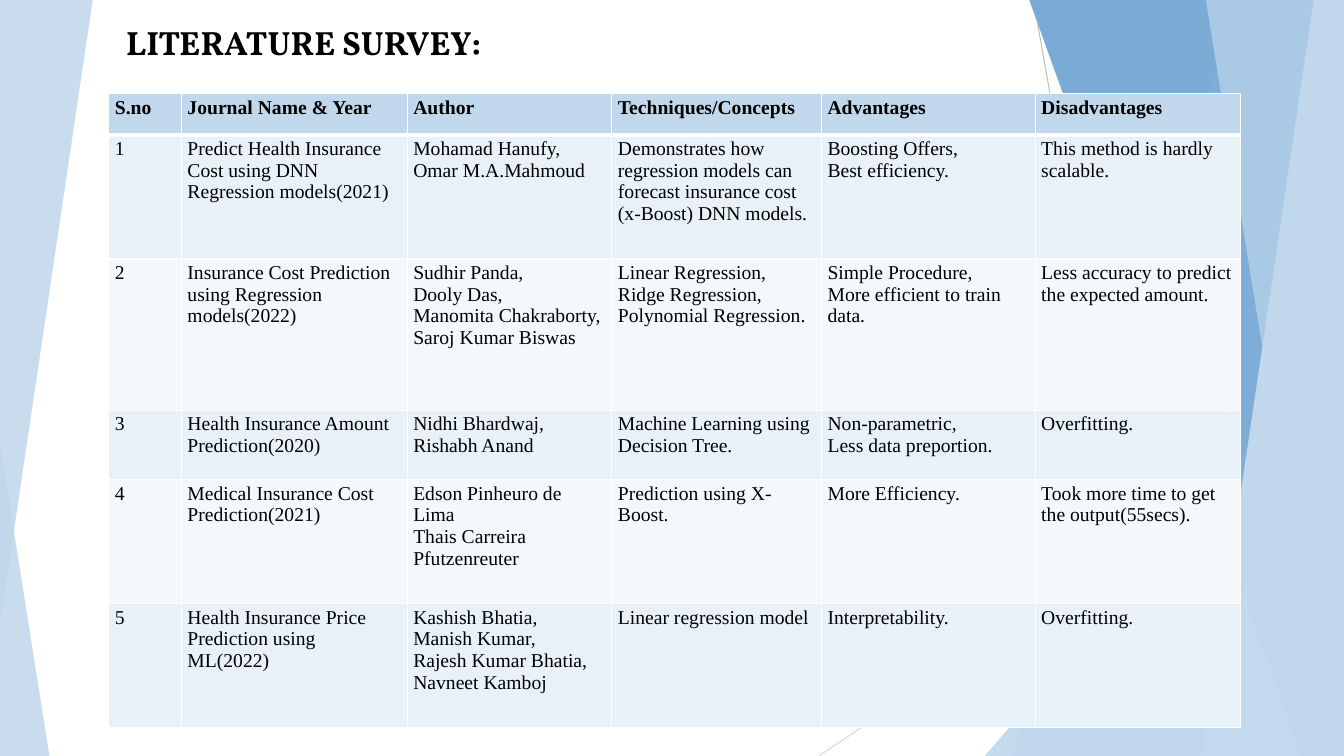
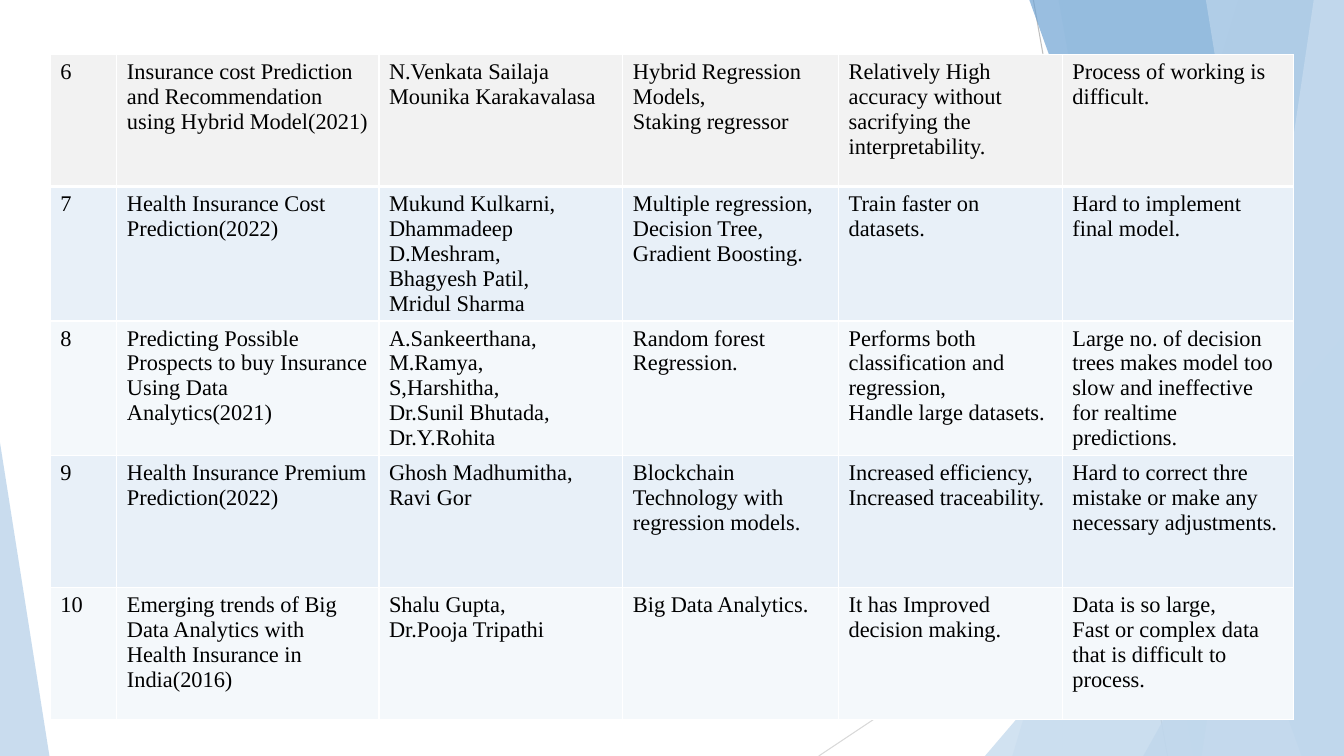
import lxml.etree
import pptx
import pptx.dml.color
import pptx.enum.shapes
import pptx.enum.text
import pptx.oxml.ns
import pptx.util

WIDTH = pptx.util.Inches(13.33)
HEIGHT = pptx.util.Inches(7.5)
BLACK, WHITE, GREY = "000000", "FFFFFF", "F2F2F2"
PALE, MID, FAINT = "C0D7EC", "6EA3D3", "D9E7F4"
BANDS = ("E8F0F8", "F4F8FB")
TITLE_FONT, TABLE_FONT = "Vollkorn", "Times New Roman"

SURVEY_COLUMNS = (5.4, 16.8, 15.23, 15.6, 15.9, 15.3)
SURVEY_ROWS = (5.47, 16.4, 20, 9.2, 16.4, 16.4)
SURVEY = (
    ("S.no", "Journal Name & Year", "Author", "Techniques/Concepts", "Advantages", "Disadvantages"),
    ("1", "Predict Health Insurance Cost using DNN Regression models(2021)",
     "Mohamad Hanufy,\nOmar M.A.Mahmoud",
     "Demonstrates how regression models can forecast insurance cost (x-Boost) DNN models.",
     "Boosting Offers,\nBest efficiency.", "This method is hardly scalable."),
    ("2", "Insurance Cost Prediction using Regression models(2022)",
     "Sudhir Panda,\nDooly Das,\nManomita Chakraborty,\nSaroj Kumar Biswas",
     "Linear Regression,\nRidge Regression,\nPolynomial Regression.",
     "Simple Procedure,\nMore efficient to train data.",
     "Less accuracy to predict the expected amount."),
    ("3", "Health Insurance Amount Prediction(2020)", "Nidhi Bhardwaj,\nRishabh Anand",
     "Machine Learning using Decision Tree.", "Non-parametric,\nLess data preportion.",
     "Overfitting."),
    ("4", "Medical Insurance Cost\nPrediction(2021)",
     "Edson Pinheuro de Lima\nThais Carreira Pfutzenreuter", "Prediction using X-Boost.",
     "More Efficiency.", "Took more time to get the output(55secs)."),
    ("5", "Health Insurance Price Prediction using ML(2022)",
     "Kashish Bhatia,\nManish Kumar,\nRajesh Kumar Bhatia,\nNavneet Kamboj",
     "Linear regression model", "Interpretability.", "Overfitting."),
)

MORE_COLUMNS = (4.95, 19.5, 18.15, 16.05, 16.65, 17.18)
MORE_ROWS = (17.47,) * 5
MORE = (
    ("6", "Insurance cost Prediction and Recommendation using Hybrid Model(2021)",
     "N.Venkata Sailaja\nMounika Karakavalasa", "Hybrid Regression Models,\nStaking regressor",
     "Relatively High accuracy without sacrifying the interpretability.",
     "Process of working is difficult."),
    ("7", "Health Insurance Cost Prediction(2022)",
     "Mukund Kulkarni,\nDhammadeep D.Meshram,\nBhagyesh Patil,\nMridul Sharma",
     "Multiple regression,\nDecision Tree,\nGradient Boosting.",
     "Train faster on datasets.", "Hard to implement final model."),
    ("8", "Predicting Possible Prospects to buy Insurance\nUsing Data Analytics(2021)",
     "A.Sankeerthana,\nM.Ramya,\nS,Harshitha,\nDr.Sunil Bhutada,\nDr.Y.Rohita",
     "Random forest Regression.",
     "Performs both classification and regression,\nHandle large datasets.",
     "Large no. of decision trees makes model too slow and ineffective for realtime predictions."),
    ("9", "Health Insurance Premium Prediction(2022)", "Ghosh Madhumitha,\nRavi Gor",
     "Blockchain Technology with regression models.",
     "Increased efficiency,\nIncreased traceability.",
     "Hard to correct thre mistake or make any necessary adjustments."),
    ("10", "Emerging trends of Big Data Analytics with Health Insurance in India(2016)",
     "Shalu Gupta,\nDr.Pooja Tripathi", "Big Data Analytics.",
     "It has Improved decision making.",
     "Data is so large,\nFast or complex data that is difficult to process."),
)


def across(percent):
    """Return a percentage of the slide width."""
    return pptx.util.Emu(round(WIDTH * percent / 100))


def down(percent):
    """Return a percentage of the slide height."""
    return pptx.util.Emu(round(HEIGHT * percent / 100))


def colour(code):
    """Turn a hex string into a colour."""
    return pptx.dml.color.RGBColor.from_string(code)


def add_node(parent, tag, **attributes):
    """Append a DrawingML element to a parent."""
    return lxml.etree.SubElement(parent, pptx.oxml.ns.qn(tag), attributes)


def style_paragraph(para, font, size, bold):
    """Set the font of a whole paragraph in black."""
    para.font.name = font
    para.font.size = pptx.util.Pt(size)
    para.font.bold = bold
    para.font.color.rgb = colour(BLACK)


def tint(shape, code, opacity):
    """Give a shape a translucent fill without outline or shadow."""
    shape.shadow.inherit = False
    shape.line.fill.background()
    shape.fill.solid()
    shape.fill.fore_color.rgb = colour(code)
    solid = shape._element.spPr.find(pptx.oxml.ns.qn("a:solidFill"))
    add_node(solid[0], "a:alpha", val=str(opacity * 1000))


def add_strip(page, top, bottom, code, opacity):
    """Add a full-height strip from a slanted edge to the right side."""
    builder = page.shapes.build_freeform(across(top), 0, scale=1.0)
    builder.add_line_segments([(WIDTH, 0), (WIDTH, HEIGHT), (across(bottom), HEIGHT)])
    tint(builder.convert_to_shape(), code, opacity)


def add_wedge(page, left, top, width, height, lean, opacity, turn=0):
    """Add a pale triangle whose apex leans to one side."""
    wedge = page.shapes.add_shape(
        pptx.enum.shapes.MSO_SHAPE.ISOSCELES_TRIANGLE,
        across(left), down(top), across(width), down(height))
    wedge.adjustments[0] = lean
    wedge.rotation = turn
    tint(wedge, PALE, opacity)


def add_hairline(page, start, end, code):
    """Add a thin line between two points."""
    line = page.shapes.add_connector(
        pptx.enum.shapes.MSO_CONNECTOR.STRAIGHT,
        across(start[0]), down(start[1]), across(end[0]), down(end[1]))
    line.line.color.rgb = colour(code)
    line.line.width = pptx.util.Pt(0.75)
    add_node(line._element.spPr, "a:effectLst")


def add_hairlines(page):
    """Add the two crossing lines on the right."""
    add_hairline(page, (76.89, 0), (86.87, 100), "BFBFBF")
    add_hairline(page, (100, 53.73), (60.92, 100), "D9D9D9")


def add_facets(page):
    """Add the layered blue facets on the right."""
    add_strip(page, 92.12, 75.32, PALE, 30)
    add_strip(page, 78.77, 88.75, PALE, 20)
    add_wedge(page, 73.29, 44.4, 26.71, 55.6, 1, 72)
    add_strip(page, 76.59, 96.85, MID, 70)
    add_strip(page, 97.75, 89.42, FAINT, 70)
    add_strip(page, 89.72, 98.87, PALE, 65)
    add_wedge(page, 85.07, 52.4, 14.93, 47.6, 1, 80)


def add_corner(page):
    """Add the triangle in the lower left corner."""
    add_wedge(page, 0, 58.53, 3.68, 41.47, 0, 85)


def set_title(page, text):
    """Place and format the slide title."""
    title = page.shapes.title
    title.left, title.top = across(8.63), down(-6.93)
    title.width, title.height = across(62.94), down(15.87)
    frame = title.text_frame
    frame.text = text
    frame.word_wrap = True
    frame.vertical_anchor = pptx.enum.text.MSO_ANCHOR.BOTTOM
    para = frame.paragraphs[0]
    para.alignment = pptx.enum.text.PP_ALIGN.LEFT
    para.space_after = pptx.util.Pt(6)
    style_paragraph(para, TITLE_FONT, 24, True)


def set_borders(cell, top, bottom):
    """Draw white cell borders, with weights for top and bottom."""
    properties = cell._tc.get_or_add_tcPr()
    weights = {"a:lnL": 1, "a:lnR": 1, "a:lnT": top, "a:lnB": bottom}
    for place, (tag, weight) in enumerate(weights.items()):
        border = add_node(properties, tag, w=str(pptx.util.Pt(weight)))
        add_node(add_node(border, "a:solidFill"), "a:srgbClr", val=WHITE)
        properties.insert(place, border)


def fill_cell(cell, text, size, bold, code, insets):
    """Write one cell with its fill and margins."""
    cell.text = text
    cell.margin_left = cell.margin_right = pptx.util.Inches(insets[0])
    cell.margin_top = cell.margin_bottom = pptx.util.Inches(insets[1])
    cell.fill.solid()
    cell.fill.fore_color.rgb = colour(code)
    for para in cell.text_frame.paragraphs:
        style_paragraph(para, TABLE_FONT, size, bold)


def add_grid(page, corner, columns, rows, content, size, first_fill, first_bold, insets):
    """Add a banded table with a heavier line below its first row."""
    grid = page.shapes.add_table(
        len(rows), len(columns), across(corner[0]), down(corner[1]),
        across(sum(columns)), down(sum(rows))).table
    for column, share in zip(grid.columns, columns):
        column.width = across(share)
    for index, (row, share, texts) in enumerate(zip(grid.rows, rows, content)):
        row.height = down(share)
        first = index == 0
        code = first_fill if first else BANDS[(index - 1) % 2]
        for cell, text in zip(row.cells, texts):
            fill_cell(cell, text, size, first and first_bold, code, insets)
            set_borders(cell, 3 if index == 1 else 1, 3 if first else 1)


def build_survey(deck):
    """Build the titled first part of the survey."""
    page = deck.slides.add_slide(deck.slide_layouts[5])
    set_title(page, "LITERATURE SURVEY:")
    add_facets(page)
    add_corner(page)
    add_hairlines(page)
    add_facets(page)
    add_wedge(page, 0, 0, 6.9, 82.67, 1, 85, turn=180)
    add_grid(page, (8.1, 12.4), SURVEY_COLUMNS, SURVEY_ROWS, SURVEY,
             14, PALE, True, (0.06, 0.03))


def build_continuation(deck):
    """Build the second part of the survey."""
    page = deck.slides.add_slide(deck.slide_layouts[6])
    add_hairlines(page)
    add_facets(page)
    add_corner(page)
    add_grid(page, (3.75, 7.2), MORE_COLUMNS, MORE_ROWS, MORE,
             16, GREY, False, (0.1, 0.05))


def main():
    """Build and save the deck."""
    deck = pptx.Presentation()
    deck.slide_width, deck.slide_height = WIDTH, HEIGHT
    build_survey(deck)
    build_continuation(deck)
    deck.save("out.pptx")


if __name__ == "__main__":
    main()
